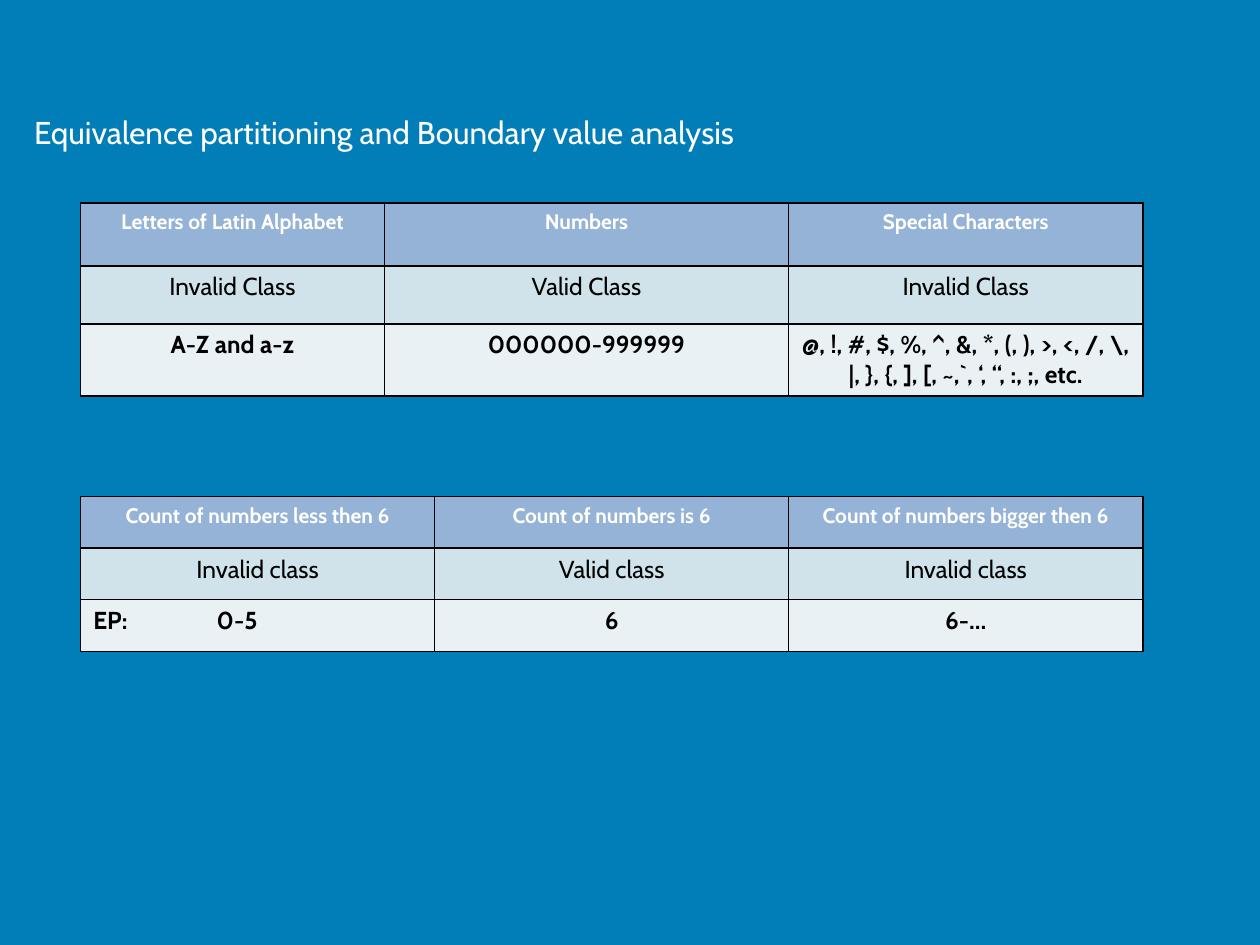
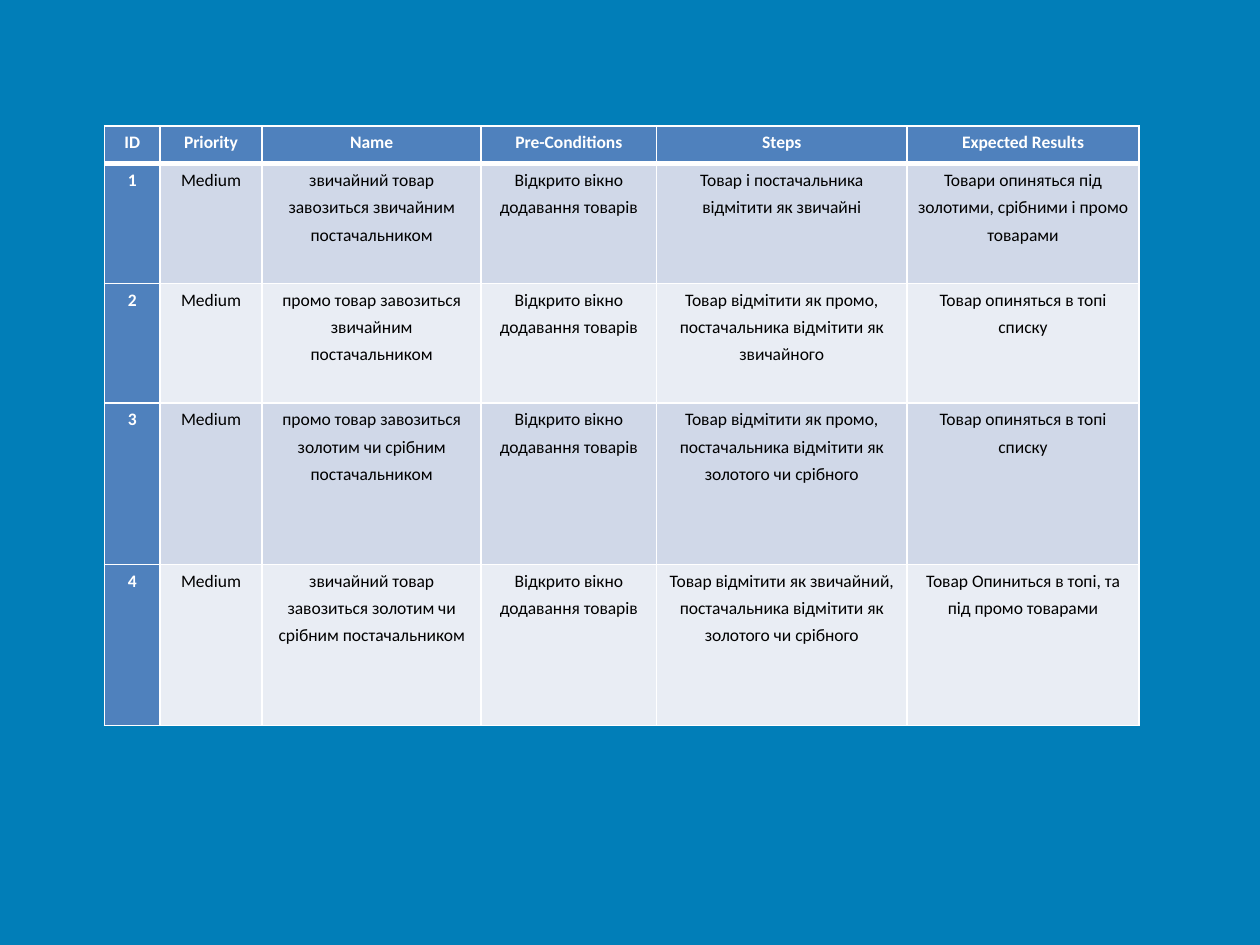
from dataclasses import dataclass

from lxml.etree import SubElement
from pptx import Presentation
from pptx.dml.color import RGBColor
from pptx.enum.text import MSO_ANCHOR, MSO_AUTO_SIZE, PP_ALIGN
from pptx.oxml.ns import qn
from pptx.util import Inches, Pt


@dataclass(frozen=True)
class Theme:
    """Colours, fonts and type sizes of the deck."""
    background: str = "017EB8"
    light: str = "FFFFFF"
    dark: str = "000000"
    class_head: str = "95B3D7"
    class_rows: tuple = ("D0E3EA", "E9F1F5")
    case_head: str = "4F81BD"
    case_rows: tuple = ("D0D8E8", "E9EDF4")
    title_font: str = "Cabin"
    case_font: str = "Calibri"
    title_size: int = 18
    class_head_size: int = 12
    class_size: int = 14
    case_size: int = 10
    case_spacing: float = 1.29


class Deck:
    """Holds the theme, the presentation and the current slide."""

    def __init__(self, theme):
        self.theme = theme
        self.prs = Presentation()
        self.prs.slide_width, self.prs.slide_height = Inches(10), Inches(7.5)
        fill = self.prs.slide_master.background.fill
        fill.solid()
        fill.fore_color.rgb = RGBColor.from_string(theme.background)

    def slide(self, layout):
        self.s = self.prs.slides.add_slide(self.prs.slide_layouts.get_by_name(layout))

    def format(self, p, font, size, color, bold=False, align=PP_ALIGN.CENTER):
        p.alignment = align
        for r in p.runs:
            r.font.name, r.font.size, r.font.bold = font, Pt(size), bold
            r.font.color.rgb = RGBColor.from_string(color)

    def title(self, text):
        sp = self.s.shapes.title
        sp.left, sp.top, sp.width, sp.height = map(Inches, (0.17, 0.17, 9.58, 1.75))
        tf = sp.text_frame
        tf.text = text
        tf.auto_size = MSO_AUTO_SIZE.NONE
        tf.vertical_anchor = MSO_ANCHOR.MIDDLE
        t = self.theme
        self.format(tf.paragraphs[0], t.title_font, t.title_size, t.light, align=PP_ALIGN.LEFT)

    def table(self, left, top, widths, heights, rows):
        frame = self.s.shapes.add_table(
            len(rows), len(widths), Inches(left), Inches(top),
            Inches(sum(widths)), Inches(sum(heights)))
        table = frame.table
        table.first_row = table.horz_banding = False
        for column, width in zip(table.columns, widths):
            column.width = Inches(width)
        for row, height, texts in zip(table.rows, heights, rows):
            row.height = Inches(height)
            for cell, text in zip(row.cells, texts):
                cell.text_frame.text = text
        return table

    def paint(self, cell, fill, line, top=1, bottom=1):
        tcPr = cell._tc.get_or_add_tcPr()
        for side, width in (("L", 1), ("R", 1), ("T", top), ("B", bottom)):
            ln = SubElement(tcPr, qn(f"a:ln{side}"), w=str(Pt(width)))
            SubElement(SubElement(ln, qn("a:solidFill")), qn("a:srgbClr"), val=line)
        cell.fill.solid()
        cell.fill.fore_color.rgb = RGBColor.from_string(fill)

    def class_table(self, top, widths, heights, rows):
        t = self.theme
        table = self.table(0.64, top, widths, heights, rows)
        fills = (t.class_head, *t.class_rows)
        sizes = (t.class_head_size, t.class_size, t.class_size)
        colors = (t.light, t.dark, t.dark)
        for i, row in enumerate(table.rows):
            for cell in row.cells:
                self.paint(cell, fills[i], t.dark)
                self.format(cell.text_frame.paragraphs[0], t.title_font,
                            sizes[i], colors[i], bold=i != 1)
        return table

    def tab_stop(self, cell, position):
        p = cell.text_frame.paragraphs[0]
        p.alignment = PP_ALIGN.LEFT
        tabs = SubElement(p._p.get_or_add_pPr(), qn("a:tabLst"))
        SubElement(tabs, qn("a:tab"), pos=str(Inches(position)), algn="l")

    def case_table(self, left, top, widths, heights, rows):
        t = self.theme
        table = self.table(left, top, widths, heights, rows)
        for i, row in enumerate(table.rows):
            for j, cell in enumerate(row.cells):
                head = i == 0 or j == 0
                self.paint(cell, t.case_head if head else t.case_rows[(i - 1) % 2], t.light,
                           top=3 if i == 1 else 1, bottom=3 if i == 0 else 1)
                cell.margin_left = cell.margin_right = Inches(0.07)
                cell.margin_top = cell.margin_bottom = 0
                p = cell.text_frame.paragraphs[0]
                p.line_spacing = t.case_spacing
                self.format(p, t.case_font, t.case_size, t.light if head else t.dark, bold=head)


def partitioning_slide(deck):
    """Build the equivalence classes slide."""
    deck.slide("Title Only")
    deck.title("Equivalence partitioning and Boundary value analysis")
    deck.class_table(1.61, (2.41, 3.21, 2.81), (0.5, 0.46, 0.57), (
        ("Letters of Latin Alphabet", "Numbers", "Special Characters"),
        ("Invalid Class", "Valid Class", "Invalid Class"),
        ("A-Z and a-z", "000000-999999",
         "@, !, #, $, %, ^, &, *, (, ), >, <, /, \\, |, }, {, ], [, ~,`, ‘, “, :, ;, etc."),
    ))
    counts = deck.class_table(3.94, (2.81,) * 3, (0.41,) * 3, (
        ("Count of numbers less then 6", "Count of numbers is 6", "Count of numbers bigger then 6"),
        ("Invalid class", "Valid class", "Invalid class"),
        ("EP:\t0-5", "6", "6-…"),
    ))
    deck.tab_stop(counts.cell(2, 0), 0.98)


def test_cases_slide(deck):
    """Build the test cases slide."""
    deck.slide("Blank")
    cases = (
        ("звичайний товар завозиться звичайним постачальником",
         "Товар і постачальника відмітити як звичайні",
         "Товари опиняться під золотими, срібними і промо товарами"),
        ("промо товар завозиться звичайним постачальником",
         "Товар відмітити як промо, постачальника відмітити як звичайного",
         "Товар опиняться в топі списку"),
        ("промо товар завозиться золотим чи срібним постачальником",
         "Товар відмітити як промо, постачальника відмітити як золотого чи срібного",
         "Товар опиняться в топі списку"),
        ("звичайний товар завозиться золотим чи срібним постачальником",
         "Товар відмітити як звичайний, постачальника відмітити як золотого чи срібного",
         "Товар Опиниться в топі, та під промо товарами"),
    )
    rows = [("ID", "Priority", "Name", "Pre-Conditions", "Steps", "Expected Results")]
    for number, (name, steps, result) in enumerate(cases, 1):
        rows.append((str(number), "Medium", name, "Відкрито вікно додавання товарів", steps, result))
    deck.case_table(0.83, 1, (0.44, 0.81, 1.74, 1.39, 1.99, 1.84),
                    (0.3, 0.95, 0.95, 1.28, 1.28), rows)


def main():
    """Build and save the deck."""
    deck = Deck(Theme())
    partitioning_slide(deck)
    test_cases_slide(deck)
    deck.prs.save("out.pptx")


if __name__ == "__main__":
    main()
